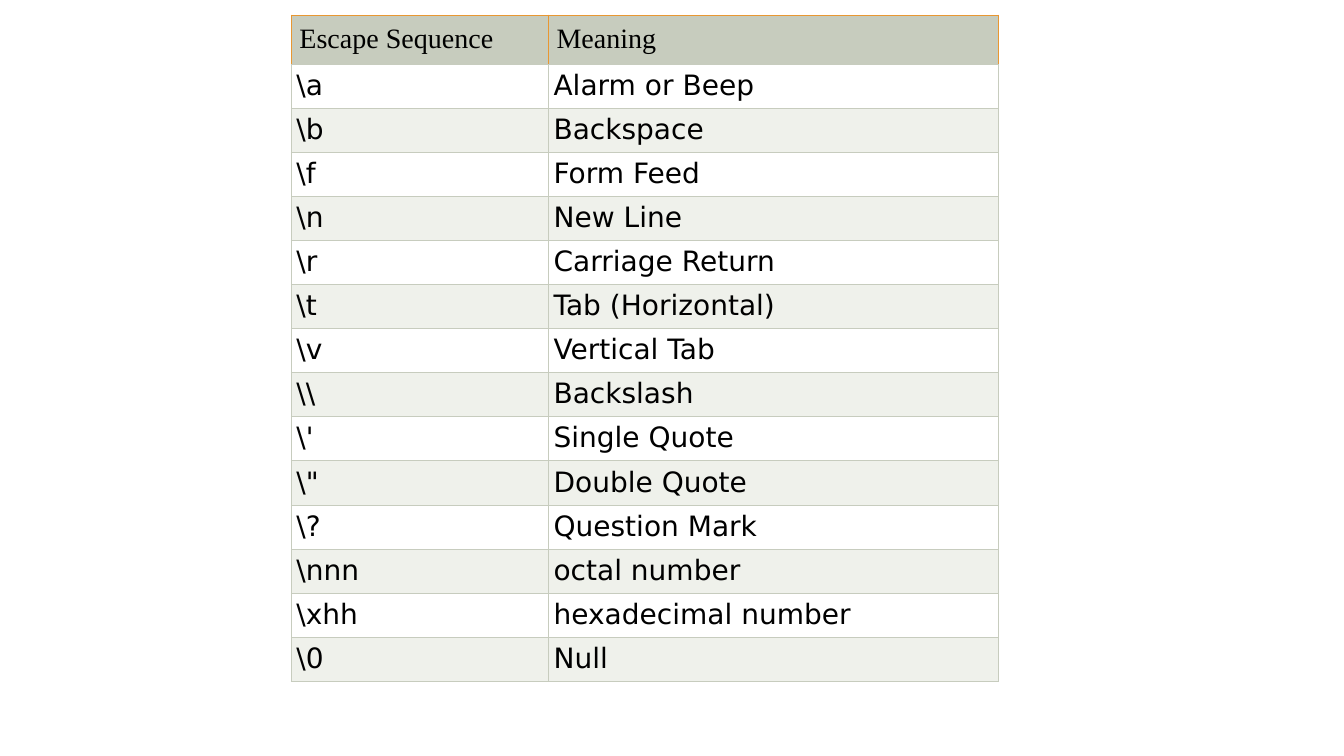
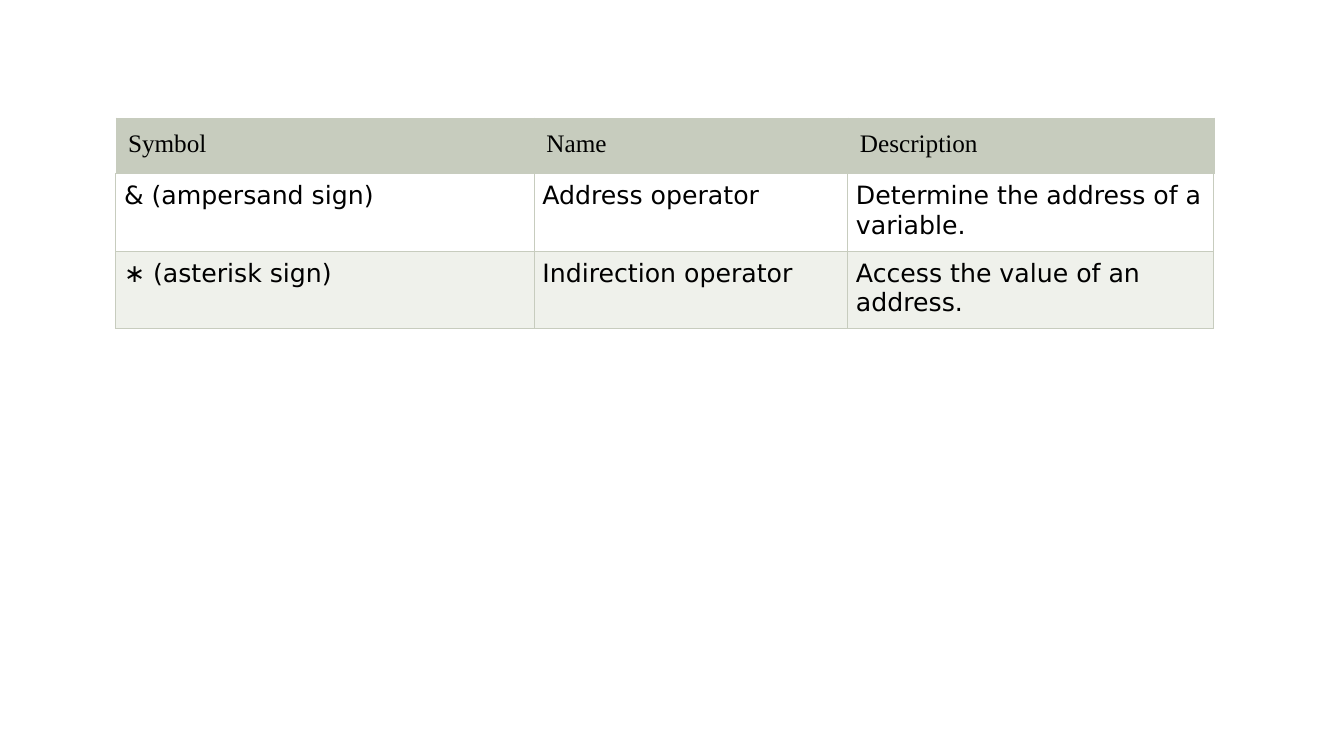
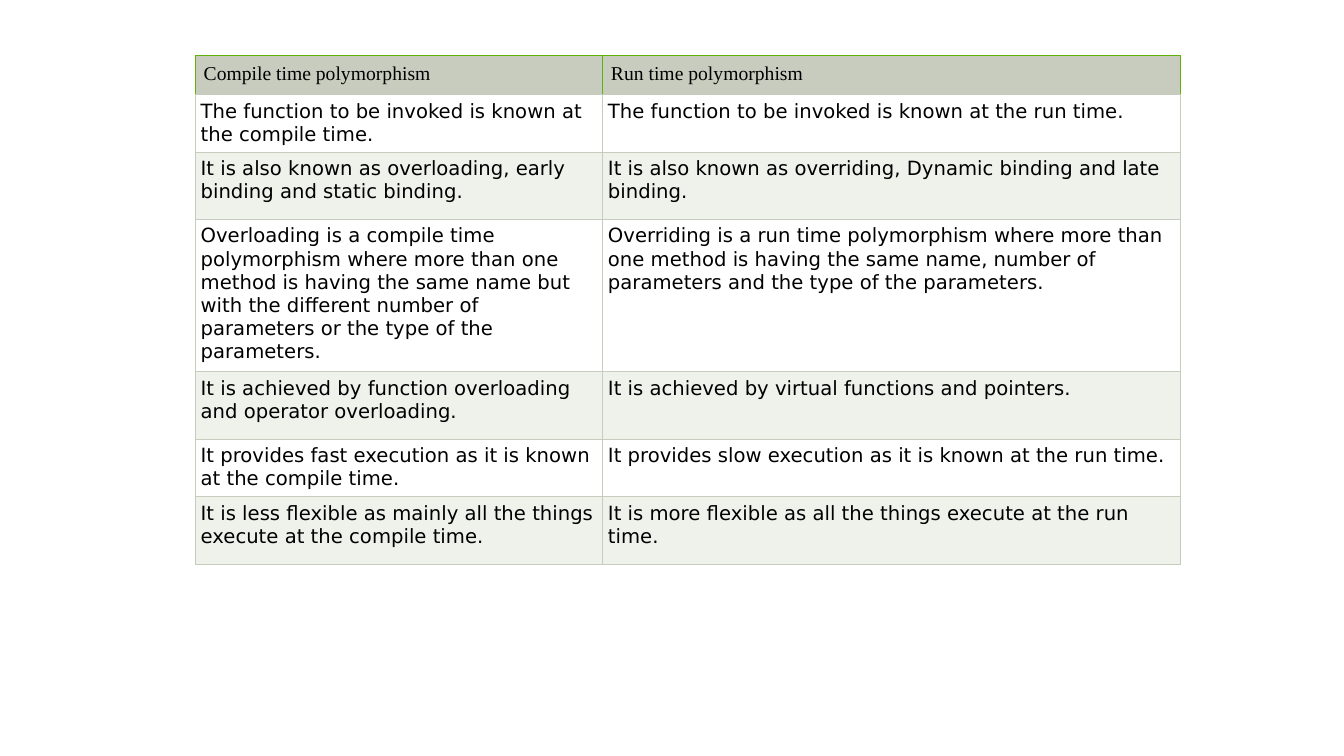
from lxml.etree import SubElement
from pptx import Presentation
from pptx.dml.color import RGBColor
from pptx.oxml.ns import qn
from pptx.util import Inches, Pt

HEADER_FILL = "C7CCBE"
GRID = "C7CCBE"
BAND_FILLS = ("FFFFFF", "EFF1EB")
INK = "000000"
HEADER_FONT = "Times New Roman"
BODY_FONT = "DejaVu Sans"

ESCAPE_ROWS = [
    ("Escape Sequence", "Meaning"),
    (r"\a", "Alarm or Beep"),
    (r"\b", "Backspace"),
    (r"\f", "Form Feed"),
    (r"\n", "New Line"),
    (r"\r", "Carriage Return"),
    (r"\t", "Tab (Horizontal)"),
    (r"\v", "Vertical Tab"),
    (r"\\", "Backslash"),
    (r"\'", "Single Quote"),
    (r'\"', "Double Quote"),
    (r"\?", "Question Mark"),
    (r"\nnn", "octal number"),
    (r"\xhh", "hexadecimal number"),
    (r"\0", "Null"),
]

POINTER_ROWS = [
    ("Symbol", "Name", "Description"),
    ("& (ampersand sign)", "Address operator", "Determine the address of a variable."),
    ("∗ (asterisk sign)", "Indirection operator", "Access the value of an address."),
]

POLYMORPHISM_ROWS = [
    ("Compile time polymorphism", "Run time polymorphism"),
    ("The function to be invoked is known at the compile time.",
     "The function to be invoked is known at the run time."),
    ("It is also known as overloading, early binding and static binding.",
     "It is also known as overriding, Dynamic binding and late binding."),
    ("Overloading is a compile time polymorphism where more than one method is having "
     "the same name but with the different number of parameters or the type of the parameters.",
     "Overriding is a run time polymorphism where more than one method is having "
     "the same name, number of parameters and the type of the parameters."),
    ("It is achieved by function overloading and operator overloading.",
     "It is achieved by virtual functions and pointers."),
    ("It provides fast execution as it is known at the compile time.",
     "It provides slow execution as it is known at the run time."),
    ("It is less flexible as mainly all the things execute at the compile time.",
     "It is more flexible as all the things execute at the run time."),
]


def color(value):
    return RGBColor.from_string(value)


def set_borders(cell, edge, edge_width):
    properties = cell._tc.get_or_add_tcPr()
    for side in ("lnL", "lnR", "lnT", "lnB"):
        value, width = (GRID, 0.75) if side == "lnB" else (edge, edge_width)
        line = SubElement(properties, qn(f"a:{side}"), w=str(Pt(width)))
        fill = SubElement(line, qn("a:solidFill"))
        SubElement(fill, qn("a:srgbClr"), val=value)


def format_cell(cell, text, size, font, fill, inset):
    cell.fill.solid()
    cell.fill.fore_color.rgb = color(fill)
    cell.margin_left = cell.margin_right = Inches(inset)
    cell.margin_top = cell.margin_bottom = Inches(inset)
    cell.text_frame.text = text
    for run in cell.text_frame.paragraphs[0].runs:
        run.font.size = Pt(size)
        run.font.name = font
        run.font.bold = False
        run.font.color.rgb = color(INK)


def add_comparison_slide(deck, rows, left, top, widths, heights, size,
                         header_inset, body_inset, header_edge, edge_width=0.75):
    slide = deck.slides.add_slide(deck.slide_layouts[6])
    table = slide.shapes.add_table(
        len(rows), len(widths), Inches(left), Inches(top),
        Inches(sum(widths)), Inches(sum(heights))).table
    table.first_row = False
    table.horz_banding = False
    for column, width in zip(table.columns, widths):
        column.width = Inches(width)
    for index, (row, texts, height) in enumerate(zip(table.rows, rows, heights)):
        row.height = Inches(height)
        for cell, text in zip(row.cells, texts):
            if index == 0:
                set_borders(cell, header_edge, edge_width)
                format_cell(cell, text, size, HEADER_FONT, HEADER_FILL, header_inset)
            else:
                set_borders(cell, GRID, 0.75)
                fill = BAND_FILLS[(index - 1) % 2]
                format_cell(cell, text, size, BODY_FONT, fill, body_inset)


def main():
    deck = Presentation()
    deck.slide_width = Inches(13.33)
    deck.slide_height = Inches(7.5)
    add_comparison_slide(deck, ESCAPE_ROWS, 2.89, 0.15, (2.55, 4.46),
                         [0.49] + [6.12 / 14] * 14, 20, 0.08, 0.05, "E89732")
    add_comparison_slide(deck, POINTER_ROWS, 1.15, 1.17, (4.15, 3.11, 3.63),
                         (0.55, 0.77, 0.77), 18, 0.12, 0.08, GRID, 0.38)
    add_comparison_slide(deck, POLYMORPHISM_ROWS, 1.94, 0.55, (4.04, 5.73),
                         (0.39, 0.57, 0.67, 1.51, 0.67, 0.57, 0.67),
                         14, 0.08, 0.05, "60B208")
    deck.save("out.pptx")


if __name__ == "__main__":
    main()
